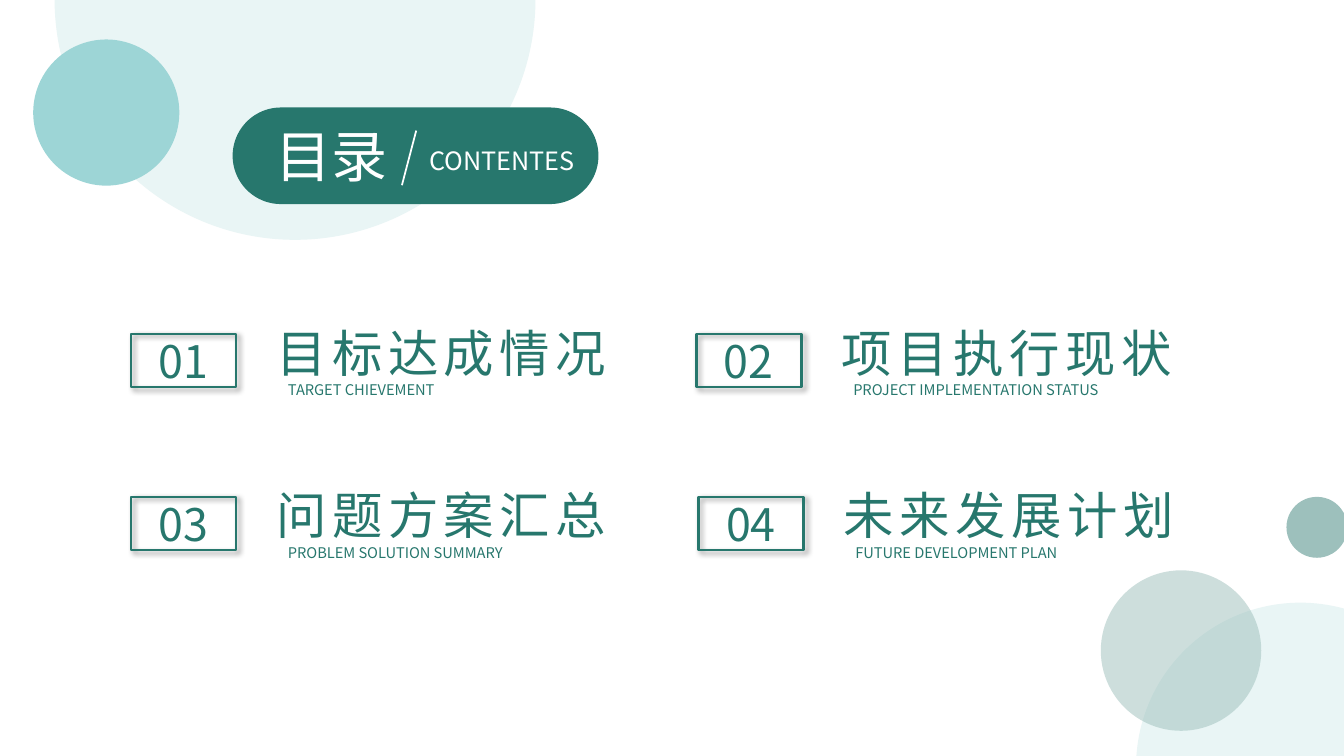
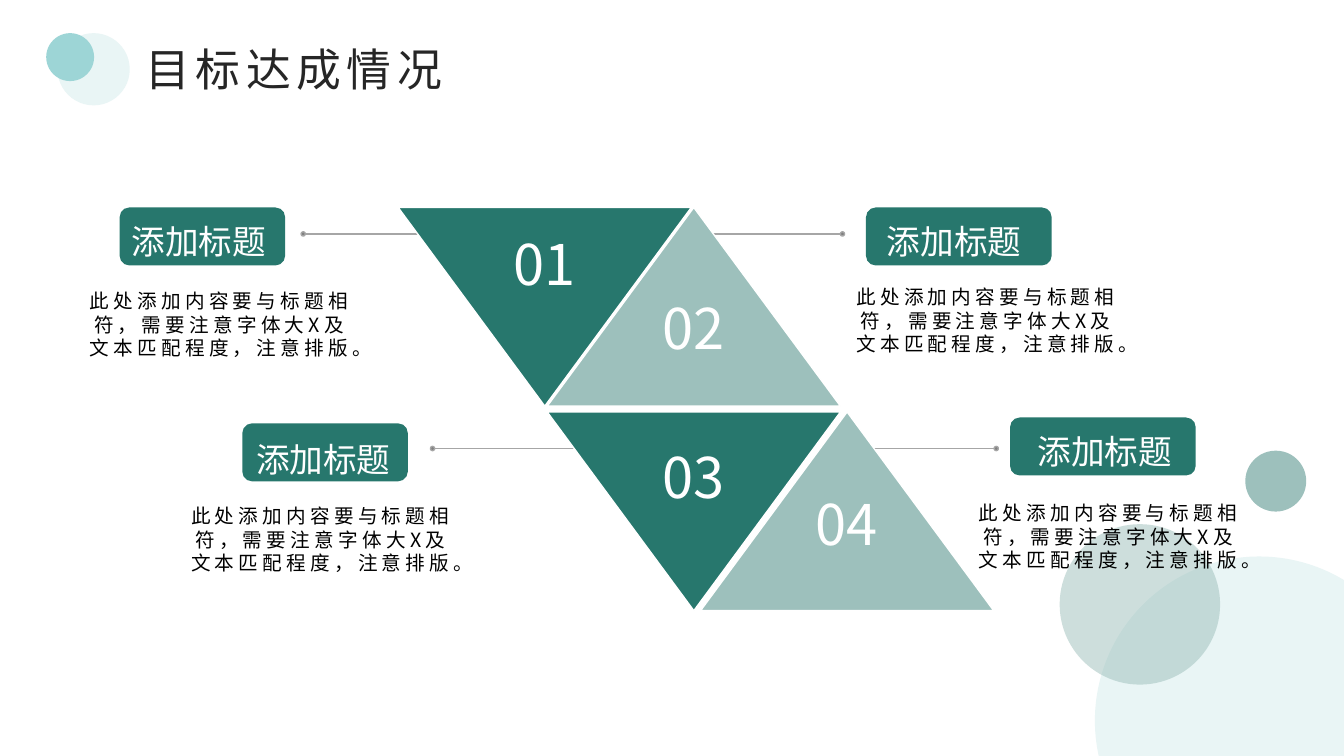
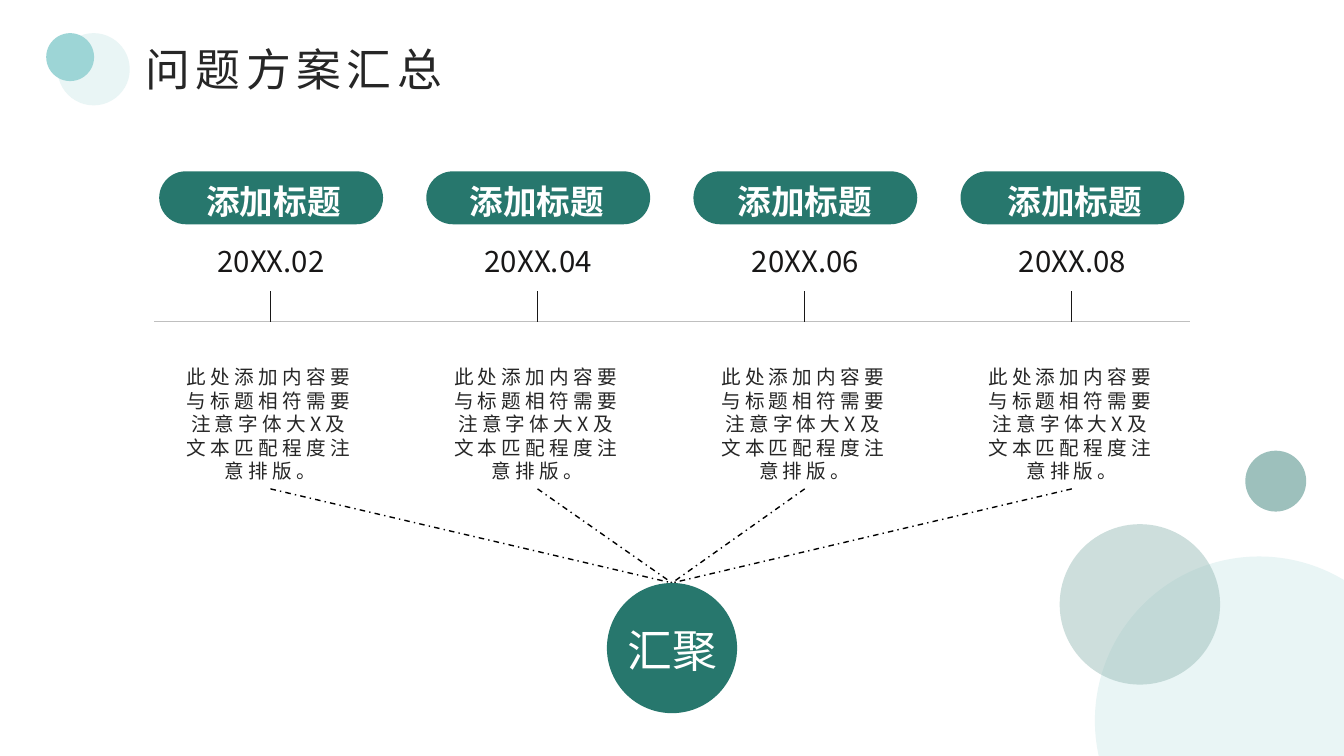
from dataclasses import dataclass

from lxml.etree import SubElement
from pptx import Presentation
from pptx.dml.color import RGBColor
from pptx.enum.dml import MSO_LINE
from pptx.enum.shapes import MSO_CONNECTOR, MSO_SHAPE
from pptx.enum.text import MSO_ANCHOR, MSO_AUTO_SIZE, PP_ALIGN
from pptx.oxml.ns import qn
from pptx.util import Inches, Pt

COLUMNS, ROWS = 160, 90
CELL = Inches(7.5) / ROWS


@dataclass(frozen=True)
class Theme:
    font: str = "Noto Sans CJK SC"
    green: str = "27776D"
    sage: str = "9DC0BC"
    aqua: str = "9DD5D6"
    mist: str = "E9F5F5"
    white: str = "FFFFFF"
    black: str = "000000"
    ink: str = "262626"
    date: str = "181717"
    leader: str = "A6A6A6"
    dot: str = "808080"
    axis: str = "BFBFBF"
    display: float = 40
    heading: float = 36
    title: float = 32
    label: float = 24
    date_size: float = 21
    subtitle: float = 18
    body: float = 14
    caption: float = 10.5
    wide: float = 4
    loose: float = 3


THEME = Theme()


@dataclass(frozen=True)
class Box:
    left: float
    top: float
    width: float
    height: float

    def area(self, left, top, width, height):
        return Box(self.left + left, self.top + top, width, height)

    def point(self, left, top):
        return self.left + left, self.top + top

    def lengths(self):
        return cells(self.left, self.top, self.width, self.height)


def cells(*values):
    return [round(value * CELL) for value in values]


def add_form(slide, kind, box, fill=None, line=None, weight=1, alpha=None, round_ends=False):
    shape = slide.shapes.add_shape(kind, *box.lengths())
    shape.shadow.inherit = False
    if fill:
        shape.fill.solid()
        shape.fill.fore_color.rgb = RGBColor.from_string(fill)
    else:
        shape.fill.background()
    if line:
        shape.line.color.rgb = RGBColor.from_string(line)
        shape.line.width = Pt(weight)
    else:
        shape.line.fill.background()
    if alpha:
        color = next(shape.element.iter(qn("a:srgbClr")))
        SubElement(color, qn("a:alpha")).set("val", str(alpha * 1000))
    if round_ends:
        shape.adjustments[0] = 0.5
    return shape


def add_circle(slide, box, left, top, size, fill, **options):
    return add_form(slide, MSO_SHAPE.OVAL, box.area(left, top, size, size), fill, **options)


def add_shadow(shape):
    effects = next(shape.element.iter(qn("a:effectLst")))
    shadow = SubElement(effects, qn("a:outerShdw"), blurRad=str(Pt(4)), dist=str(Pt(3)),
                        dir=str(45 * 60000), algn="tl", rotWithShape="0")
    color = SubElement(shadow, qn("a:srgbClr"), val=THEME.black)
    SubElement(color, qn("a:alpha"), val="40000")


def add_line(slide, start, end, color, weight, dash=None):
    connector = slide.shapes.add_connector(MSO_CONNECTOR.STRAIGHT, *cells(*start, *end))
    connector.line.color.rgb = RGBColor.from_string(color)
    connector.line.width = Pt(weight)
    if dash:
        connector.line.dash_style = dash
    SubElement(connector.element.find(qn("p:spPr")), qn("a:effectLst"))


def write_text(shape, text, size, color, align=PP_ALIGN.LEFT, bold=False, tracking=0,
               line_spacing=None, wrap=True, inset=0.05):
    frame = shape.text_frame
    frame.word_wrap = wrap
    frame.auto_size = MSO_AUTO_SIZE.NONE
    frame.vertical_anchor = MSO_ANCHOR.TOP
    frame.margin_left = frame.margin_right = Inches(0.1)
    frame.margin_top = frame.margin_bottom = Inches(inset)
    paragraph = frame.paragraphs[0]
    paragraph.alignment = align
    if line_spacing:
        paragraph.line_spacing = line_spacing
    run = paragraph.add_run()
    run.text = text
    run.font.size = Pt(size)
    run.font.bold = bold
    run.font.name = THEME.font
    run.font.color.rgb = RGBColor.from_string(color)
    properties = next(shape.element.iter(qn("a:rPr")))
    SubElement(properties, qn("a:ea"), typeface=THEME.font)
    if tracking:
        properties.set("spc", str(tracking * 100))


def add_text(slide, box, text, size, color, **options):
    write_text(slide.shapes.add_textbox(*box.lengths()), text, size, color, **options)


def place_title(slide, box, text, size, color, **options):
    title = slide.shapes.title
    title.left, title.top, title.width, title.height = box.lengths()
    title.element.getparent().append(title.element)
    write_text(title, text, size, color, **options)


def draw_corner(slide, box):
    add_circle(slide, box, 4.2, 12.6, 39.1, THEME.mist)
    add_circle(slide, box, 22.1, 0, 7.25, THEME.sage)
    add_circle(slide, box, 0, 8.75, 19.1, THEME.sage, alpha=51)


def draw_header(slide, box, text):
    add_circle(slide, box, 1.35, 0, 8.6, THEME.mist)
    add_circle(slide, box, 0, 0, 5.7, THEME.aqua)
    place_title(slide, box.area(10.6, 0.45, 42.1, 7.7), text, THEME.title, THEME.ink,
                tracking=THEME.wide)


def new_slide(presentation):
    return presentation.slides.add_slide(presentation.slide_layouts[5])


def new_content_slide(presentation, text):
    slide = new_slide(presentation)
    draw_corner(slide, Box(126.15, 53.65, 43.3, 51.7))
    draw_header(slide, Box(5.5, 3.95, 52.7, 8.6), text)
    return slide


def draw_contents_banner(slide, box):
    add_form(slide, MSO_SHAPE.ROUNDED_RECTANGLE, box, THEME.green, round_ends=True)
    place_title(slide, box.area(3.95, 1.1, 16.2, 9.25), "目录", THEME.display, THEME.white)
    add_line(slide, box.point(20.15, 9.25), box.point(21.85, 2.75), THEME.white, 1.25)
    add_text(slide, box.area(22.2, 3.95, 21.35, 4.8), "CONTENTES", THEME.subtitle, THEME.white)


def draw_contents_entry(slide, box, number, heading, caption):
    frame = add_form(slide, MSO_SHAPE.RECTANGLE, box.area(0, 0, 12.5, 6.35),
                     line=THEME.green, weight=1.75)
    add_shadow(frame)
    add_text(slide, box.area(0.3, -0.55, 11.9, 7.7), number, THEME.title, THEME.green,
             align=PP_ALIGN.CENTER)
    add_text(slide, box.area(16.1, -2.05, 45.4, 8.5), heading, THEME.heading, THEME.green,
             tracking=THEME.wide)
    add_text(slide, box.area(17.5, 5.05, 42.25, 3.5), caption, THEME.caption, THEME.green,
             align=PP_ALIGN.JUSTIFY)


def build_contents(presentation):
    slide = new_slide(presentation)
    backdrop = Box(0, 0, COLUMNS, ROWS)
    add_circle(slide, backdrop, 6.5, -28.7, 57.25, THEME.mist)
    add_circle(slide, backdrop, 3.95, 4.7, 17.4, THEME.aqua)
    draw_contents_banner(slide, Box(27.7, 12.8, 43.55, 11.5))
    entries = [
        (15.6, 39.75, "目标达成情况", "TARGET CHIEVEMENT"),
        (82.9, 39.75, "项目执行现状", "PROJECT IMPLEMENTATION STATUS"),
        (15.6, 59.15, "问题方案汇总", "PROBLEM SOLUTION SUMMARY"),
        (83.15, 59.15, "未来发展计划", "FUTURE DEVELOPMENT PLAN"),
    ]
    for number, (left, top, heading, caption) in enumerate(entries, 1):
        draw_contents_entry(slide, Box(left, top, 61.5, 8.55), f"{number:02}", heading, caption)
    draw_corner(slide, Box(131.05, 59.15, 43.3, 51.7))


def draw_leader(slide, left, top, direction):
    size = 0.5
    add_line(slide, (left, top), (left + 18.1 * direction, top), THEME.leader, 1)
    center = left + 0.1 * direction
    add_circle(slide, Box(center, top, size, size), -size / 2, -size / 2, size, THEME.dot,
               line=THEME.leader)


def draw_triangle(slide, box, number, label_top, inverted):
    triangle = add_form(slide, MSO_SHAPE.ISOSCELES_TRIANGLE, box,
                        THEME.green if inverted else THEME.sage, THEME.white)
    triangle.rotation = 180 if inverted else 0
    add_text(slide, box.area(12.25, label_top, 10.3, 9.25), number, THEME.display, THEME.white,
             align=PP_ALIGN.CENTER, wrap=False)


def draw_card(slide, tag, label, body, align):
    add_form(slide, MSO_SHAPE.ROUNDED_RECTANGLE, tag, THEME.green)
    add_text(slide, tag.area(*label, 22.1, 6.4), "添加标题", THEME.label, THEME.white,
             align=align, line_spacing=1.5, inset=0)
    add_text(slide, tag.area(*body, 34.45, 9.7),
             "此处添加内容要与标题相符，需要注意字体大X及文本匹配程度，注意排版。",
             THEME.body, THEME.black, align=PP_ALIGN.CENTER, tracking=THEME.loose)


def build_goals(presentation):
    slide = new_content_slide(presentation, "目标达成情况")
    for left, top, direction in [(118.7, 53.4, -1), (36, 27.85, 1),
                                 (51.4, 53.4, 1), (100.4, 27.85, -1)]:
        draw_leader(slide, left, top, direction)
    mosaic = Box(47.4, 24.7, 70.9, 48)
    for number, left, top, label_top, inverted in [
        ("02", 17.75, 0, 9.7, False),
        ("01", 0, 0, 2.05, True),
        ("03", 17.75, 24.35, 3, True),
        ("04", 36, 24.35, 8.65, False),
    ]:
        draw_triangle(slide, mosaic.area(left, top, 34.9, 23.65), number, label_top, inverted)
    for left, top, width, label, body, align in [
        (14.25, 24.7, 19.7, (0.25, -0.85), (-5.15, 9.1), PP_ALIGN.LEFT),
        (28.85, 50.4, 19.7, (0.45, -0.6), (-7.7, 9), PP_ALIGN.LEFT),
        (103.1, 24.7, 22.1, (1.3, -0.85), (-2.75, 8.65), PP_ALIGN.LEFT),
        (120.25, 49.7, 22.1, (0.25, -0.85), (-5.3, 9.35), PP_ALIGN.CENTER),
    ]:
        draw_card(slide, Box(left, top, width, 6.9), label, body, align)


def draw_milestone(slide, box, date, label_shift, hub_top):
    add_form(slide, MSO_SHAPE.ROUNDED_RECTANGLE, box.area(0, 0, 26.65, 6.3), THEME.green,
             round_ends=True)
    add_text(slide, box.area(label_shift, 0.5, 26.5, 6), "添加标题", THEME.label, THEME.white,
             align=PP_ALIGN.CENTER, bold=True)
    add_text(slide, box.area(2.95, 7.9, 20.75, 5.4), date, THEME.date_size, THEME.date,
             align=PP_ALIGN.CENTER)
    add_line(slide, box.point(13.25, 14.3), box.point(13.25, 17.9), THEME.date, 0.5)
    add_text(slide, box.area(1.55, 22.45, 23.4, 15.35),
             "此处添加内容要与标题相符需要注意字体大X及文本匹配程度注意排版。",
             THEME.body, THEME.ink, align=PP_ALIGN.CENTER, tracking=THEME.loose)
    add_line(slide, box.point(13.25, 37.8), hub_top, THEME.black, 1, MSO_LINE.DASH_DOT)


def draw_hub(slide, box):
    add_circle(slide, box, 0, 0, box.width, THEME.green)
    add_text(slide, box.area(-1.1, 4.2, 17.75, 7.7), "汇聚", THEME.title, THEME.white,
             align=PP_ALIGN.CENTER)


def build_solutions(presentation):
    slide = new_content_slide(presentation, "问题方案汇总")
    hub = Box(72.25, 69.4, 15.5, 15.5)
    timeline = Box(18.95, 20.4, 122.05, 37.8)
    add_line(slide, timeline.point(-0.6, 17.9), timeline.point(122.7, 17.9), THEME.axis, 0.5)
    for index, label_shift in enumerate([0.35, -0.1, 0, 0.35]):
        draw_milestone(slide, timeline.area(31.8 * index, 0, 26.65, 37.8),
                       f"20XX.{2 * index + 2:02}", label_shift, hub.point(hub.width / 2, 0))
    draw_hub(slide, hub)


def main():
    presentation = Presentation()
    presentation.slide_width, presentation.slide_height = cells(COLUMNS, ROWS)
    build_contents(presentation)
    build_goals(presentation)
    build_solutions(presentation)
    presentation.save("out.pptx")


if __name__ == "__main__":
    main()
